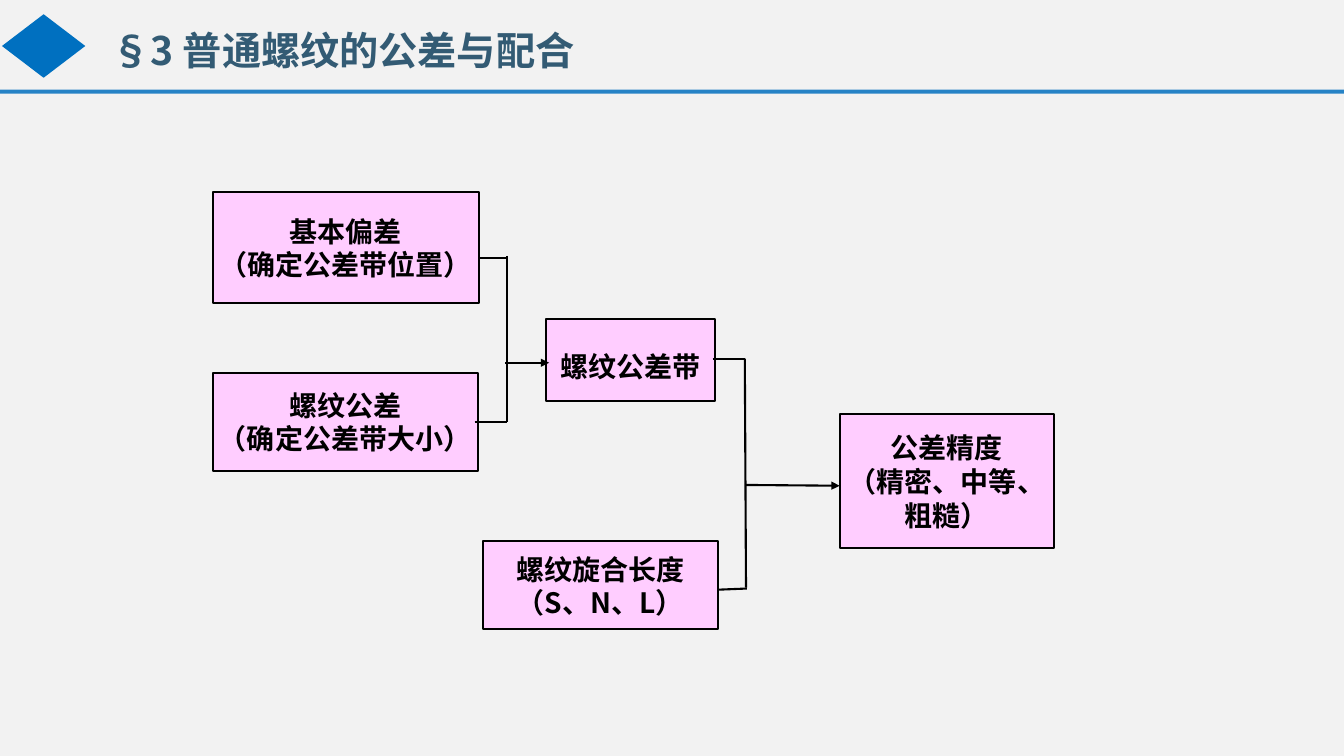
from lxml import etree
from pptx import Presentation
from pptx.dml.color import RGBColor
from pptx.enum import shapes, text
from pptx.oxml.ns import qn
from pptx.util import Cm, Pt

PAPER = RGBColor(0xF2, 0xF2, 0xF2)
EMBLEM = RGBColor(0x00, 0x70, 0xC0)
RULE = RGBColor(0x26, 0x83, 0xC6)
TITLE = RGBColor(0x33, 0x5B, 0x74)
PINK = RGBColor(0xFF, 0xCD, 0xFF)
BLACK = RGBColor(0, 0, 0)
SANS, SERIF = "Noto Sans CJK SC", "Times New Roman"


def add_block(preset, place, fill):
    """Add a preset shape with a plain fill, no outline and no shadow."""
    sp = s.shapes.add_shape(preset, *map(Cm, place))
    sp.shadow.inherit = False
    sp.fill.solid()
    sp.fill.fore_color.rgb = fill
    sp.line.fill.background()
    return sp


def write(tf, lines, size, font, color, align):
    """Fill a text frame with bold paragraphs of one style."""
    tf.word_wrap = True
    for i, line in enumerate(lines):
        p = tf.add_paragraph() if i else tf.paragraphs[0]
        p.text = line
        p.alignment = align
        p.font.size = Pt(size)
        p.font.bold = True
        p.font.name = font
        p.font.color.rgb = color


prs = Presentation()
prs.slide_width, prs.slide_height = Cm(33.87), Cm(19.05)
s = prs.slides.add_slide(prs.slide_layouts[6])
s.background.fill.solid()
s.background.fill.fore_color.rgb = PAPER

# Header
add_block(shapes.MSO_SHAPE.DIAMOND, (0.05, 0.36, 2.1, 1.6), EMBLEM)
add_block(shapes.MSO_SHAPE.RECTANGLE, (0, 2.26, 33.87, 0.1), RULE)
title = s.shapes.add_textbox(Cm(2.57), Cm(0.53), Cm(19.3), Cm(1.45))
write(title.text_frame, ["§3 普通螺纹的公差与配合"], 28, SANS, TITLE,
      text.PP_ALIGN.LEFT)

# Boxes: place, lines, font, side inset, top inset
boxes = [
    ((5.36, 4.85, 6.71, 2.79), ["基本偏差", "（确定公差带位置）"], SERIF, 0, 0.1),
    ((5.36, 9.4, 6.68, 2.46), ["螺纹公差", "（确定公差带大小）"], SERIF, 0, 0.1),
    ((13.77, 8.03, 4.24, 2.08), ["螺纹公差带"], SERIF, 0, 0.41),
    ((21.16, 10.44, 5.41, 3.38), ["公差精度", "（精密、中等、粗糙）"], SERIF, 0, 0.1),
    ((12.17, 13.64, 5.92, 2.21), ["螺纹旋合长度", "（S、N、L）"], SANS, 0.25, 0.13),
]
for place, lines, font, side, top in boxes:
    sp = add_block(shapes.MSO_SHAPE.RECTANGLE, place, PINK)
    sp.line.color.rgb = BLACK
    sp.line.width = Pt(1.5)
    tf = sp.text_frame
    tf.vertical_anchor = text.MSO_ANCHOR.MIDDLE
    tf.margin_left = tf.margin_right = Cm(side)
    tf.margin_top, tf.margin_bottom = Cm(top), Cm(0.1)
    write(tf, lines, 20, font, BLACK, text.PP_ALIGN.CENTER)

# Brackets joining the boxes: start, end, arrowhead
links = [
    (12.09, 6.5, 12.8, 6.5, False),
    (11.96, 10.64, 12.78, 10.64, False),
    (12.78, 6.45, 12.78, 10.64, False),
    (12.73, 9.14, 13.84, 9.14, True),
    (17.96, 9.04, 18.77, 9.04, False),
    (18.08, 14.86, 18.82, 14.83, False),
    (18.77, 9.04, 18.8, 14.81, False),
    (18.8, 12.22, 21.16, 12.24, True),
]
for *ends, arrow in links:
    link = s.shapes.add_connector(shapes.MSO_CONNECTOR.STRAIGHT, *map(Cm, ends))
    link.line.color.rgb = BLACK
    link.line.width = Pt(1.5)
    if arrow:
        etree.SubElement(link.line._get_or_add_ln(), qn("a:tailEnd"), type="triangle")
    etree.SubElement(link._element.spPr, qn("a:effectLst"))

prs.save("out.pptx")
